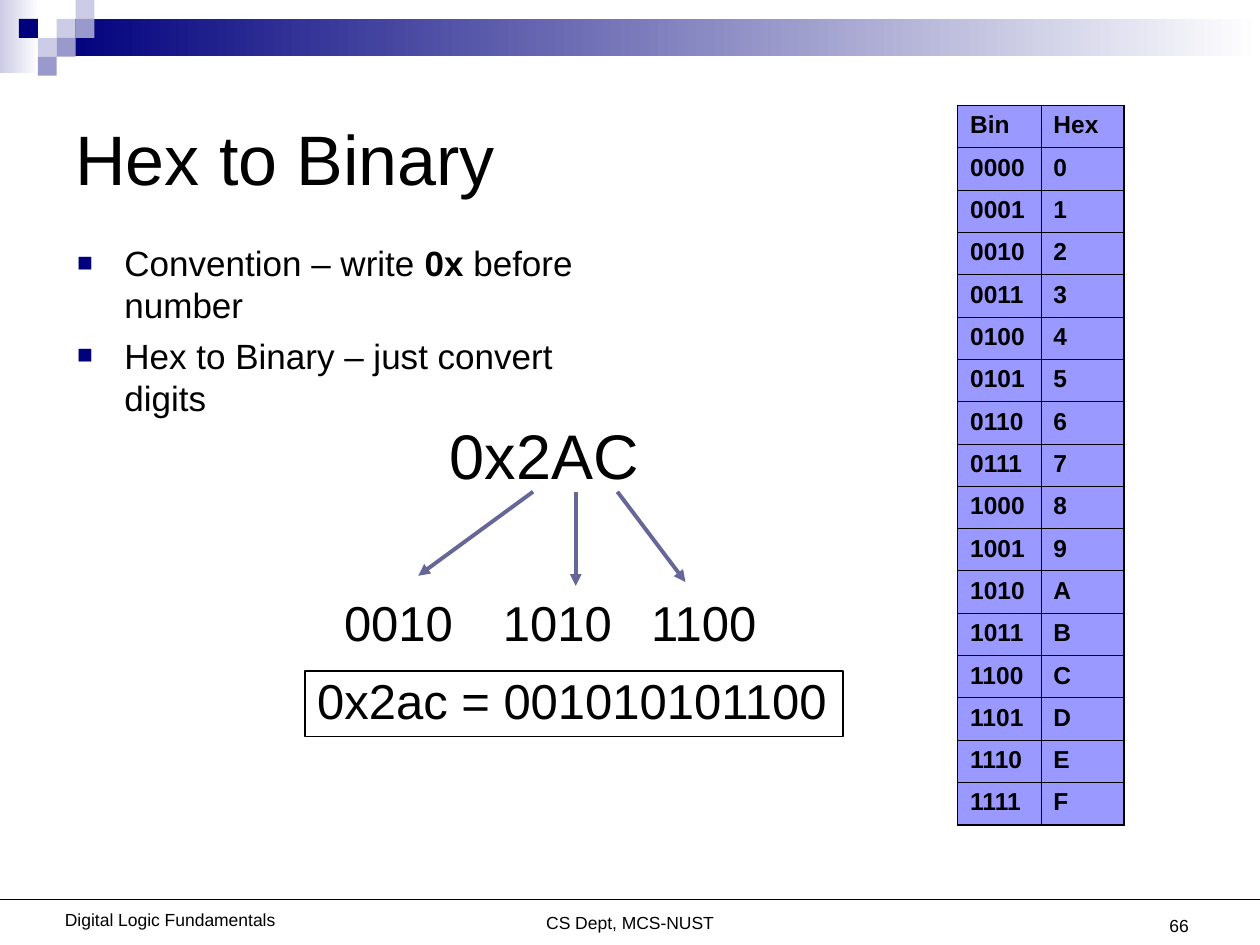
from dataclasses import dataclass

import lxml.etree
import pptx
import pptx.dml.color
import pptx.enum.shapes
import pptx.enum.text
import pptx.oxml.ns
import pptx.util

Pt = pptx.util.Pt
qn = pptx.oxml.ns.qn
ALIGN = pptx.enum.text.PP_ALIGN
ANCHOR = pptx.enum.text.MSO_ANCHOR

FONT = "Arial"
COLOURS = {
    "black": "000000",
    "white": "FFFFFF",
    "navy": "00007D",
    "mid": "9999CC",
    "light": "CCCCE6",
    "arrow": "666699",
    "cell": "9999FF",
}


@dataclass
class Label:
    text: str
    left: float
    top: float
    width: float
    height: float
    size: float
    align: ALIGN = ALIGN.LEFT
    anchor: ANCHOR = ANCHOR.TOP
    fitted: bool = False  # unwrapped, tight lines, box sized to its text
    outlined: bool = False


@dataclass
class Line:
    start: tuple[float, float]
    end: tuple[float, float]
    colour: str
    width: float
    arrow: bool = False


def colour(name: str) -> pptx.dml.color.RGBColor:
    return pptx.dml.color.RGBColor.from_string(COLOURS[name])


def style_run(run, size: float, bold: bool = False) -> None:
    run.font.name = FONT
    run.font.size = Pt(size)
    run.font.bold = bold
    run.font.color.rgb = colour("black")


def add_block(slide, left: float, top: float, width: float, height: float,
              first: str, last: str | None = None) -> None:
    """Draw a borderless rectangle, with a left-to-right gradient if last is given."""
    block = slide.shapes.add_shape(pptx.enum.shapes.MSO_SHAPE.RECTANGLE,
                                   Pt(left), Pt(top), Pt(width), Pt(height))
    block.shadow.inherit = False
    block.line.fill.background()
    if last is None:
        block.fill.solid()
        block.fill.fore_color.rgb = colour(first)
        return
    block.fill.gradient()
    block.fill.gradient_angle = 0
    for stop, name in zip(block.fill.gradient_stops, (first, last)):
        stop.color.rgb = colour(name)


def add_label(slide, label: Label) -> None:
    box = slide.shapes.add_textbox(Pt(label.left), Pt(label.top),
                                   Pt(label.width), Pt(label.height))
    frame = box.text_frame
    frame.text = label.text
    frame.word_wrap = not label.fitted
    frame.vertical_anchor = label.anchor
    para = frame.paragraphs[0]
    para.alignment = label.align
    if label.fitted:
        frame.auto_size = pptx.enum.text.MSO_AUTO_SIZE.SHAPE_TO_FIT_TEXT
        para.line_spacing = 0.9
    if label.outlined:
        box.line.color.rgb = colour("black")
        box.line.width = Pt(1)
    style_run(para.runs[0], label.size)


def add_line(slide, line: Line) -> None:
    connector = slide.shapes.add_connector(
        pptx.enum.shapes.MSO_CONNECTOR.STRAIGHT,
        *(Pt(value) for value in line.start + line.end))
    connector.line.color.rgb = colour(line.colour)
    connector.line.width = Pt(line.width)
    properties = connector.element.find(qn("p:spPr"))
    if line.arrow:
        outline = properties.find(qn("a:ln"))
        lxml.etree.SubElement(outline, qn("a:tailEnd"), type="triangle")
    lxml.etree.SubElement(properties, qn("a:effectLst"))


def add_bullet(para) -> None:
    properties = para._p.get_or_add_pPr()
    properties.set("marL", str(Pt(27)))
    properties.set("indent", str(-Pt(27)))
    tint = lxml.etree.SubElement(properties, qn("a:buClr"))
    lxml.etree.SubElement(tint, qn("a:srgbClr"), val=COLOURS["navy"])
    lxml.etree.SubElement(properties, qn("a:buSzPct"), val="75000")
    lxml.etree.SubElement(properties, qn("a:buFont"), typeface=FONT)
    lxml.etree.SubElement(properties, qn("a:buChar"), char="■")


def add_bullets(slide, items: list[list[tuple[str, bool]]]) -> None:
    box = slide.shapes.add_textbox(Pt(37), Pt(134.3), Pt(318), Pt(306))
    frame = box.text_frame
    frame.word_wrap = True
    for index, spans in enumerate(items):
        para = frame.add_paragraph() if index else frame.paragraphs[0]
        add_bullet(para)
        if index:
            para.space_before = Pt(5)
        for text, bold in spans:
            span = para.add_run()
            span.text = text
            style_run(span, 20, bold)


def add_borders(cell, widths: dict[str, float]) -> None:
    properties = cell._tc.get_or_add_tcPr()
    for index, (side, width) in enumerate(widths.items()):
        border = lxml.etree.Element(qn(f"a:ln{side}"), w=str(Pt(width)))
        fill = lxml.etree.SubElement(border, qn("a:solidFill"))
        lxml.etree.SubElement(fill, qn("a:srgbClr"), val=COLOURS["black"])
        properties.insert(index, border)


def add_digit_table(slide, rows: list[tuple[str, str]]) -> None:
    column_width, row_height, inner, outer = 47.6, 24.2, 0.45, 1.08
    table = slide.shapes.add_table(
        len(rows), 2, Pt(547.2), Pt(60.2),
        Pt(2 * column_width), Pt(len(rows) * row_height)).table
    table.first_row = table.horz_banding = False
    for row_index, row in enumerate(rows):
        table.rows[row_index].height = Pt(row_height)
        for column_index, text in enumerate(row):
            cell = table.cell(row_index, column_index)
            cell.text_frame.text = text
            style_run(cell.text_frame.paragraphs[0].runs[0], 14, bold=True)
            cell.fill.solid()
            cell.fill.fore_color.rgb = colour("cell")
            add_borders(cell, {
                "L": outer if column_index == 0 else inner,
                "R": outer if column_index == 1 else inner,
                "T": outer if row_index == 0 else inner,
                "B": outer if row_index == len(rows) - 1 else inner,
            })


def main() -> None:
    deck = pptx.Presentation()
    deck.slide_width, deck.slide_height = Pt(720), Pt(540)
    slide = deck.slides.add_slide(deck.slide_layouts[6])

    # Header bands and the checkered squares, placed by column and row
    unit = 10.8
    add_block(slide, 0, 0, 22.3, 41.8, "light", "white")
    add_block(slide, 3 * unit, unit, 720 - 3 * unit, 21.2, "navy", "white")
    squares = [(3, 1, "light"), (4, 0, "light"), (4, 1, "mid"), (2, 2, "light"),
               (1, 1, "navy"), (3, 2, "mid"), (2, 3, "mid")]
    for column, row, name in squares:
        add_block(slide, column * unit, row * unit, unit, unit, name)

    # Footer
    add_label(slide, Label("CS Dept, MCS-NUST", 210, 517.4, 300, 19, 10, ALIGN.CENTER))
    add_label(slide, Label("Digital Logic Fundamentals", 25.2, 516.2, 144, 19, 10,
                           ALIGN.CENTER))
    add_line(slide, Line((0, 514), (720, 514), "black", 0.75))
    add_label(slide, Label("66", 518.4, 502.5, 168, 36, 10, ALIGN.RIGHT, ANCHOR.BOTTOM))

    # Title and bullets
    add_label(slide, Label("Hex to Binary", 36, 36, 648, 108, 40, anchor=ANCHOR.MIDDLE))
    add_bullets(slide, [
        [("Convention – write ", False), ("0x ", True), ("before number", False)],
        [("Hex to Binary – just convert digits", False)],
    ])

    # Each hex digit points to its four bits
    add_label(slide, Label("0x2AC", 250, 239.5, 124, 46, 36, fitted=True))
    digits = [("0010", 189.5, (304.6, 281), (239, 329)),
              ("1010", 280.3, (329, 281), (329, 334.8)),
              ("1100", 365, (352.8, 281), (391.7, 332.6))]
    for bits, left, start, end in digits:
        add_label(slide, Label(bits, left, 338.9, 79, 37.4, 28, fitted=True))
        add_line(slide, Line(start, end, "arrow", 2.25, arrow=True))
    add_label(slide, Label("0x2ac = 001010101100", 174.2, 383.5, 307.4, 37.4, 28,
                           fitted=True, outlined=True))

    # Lookup table of all sixteen digits
    add_digit_table(slide, [("Bin", "Hex")]
                    + [(f"{value:04b}", f"{value:X}") for value in range(16)])

    deck.save("out.pptx")


if __name__ == "__main__":
    main()
